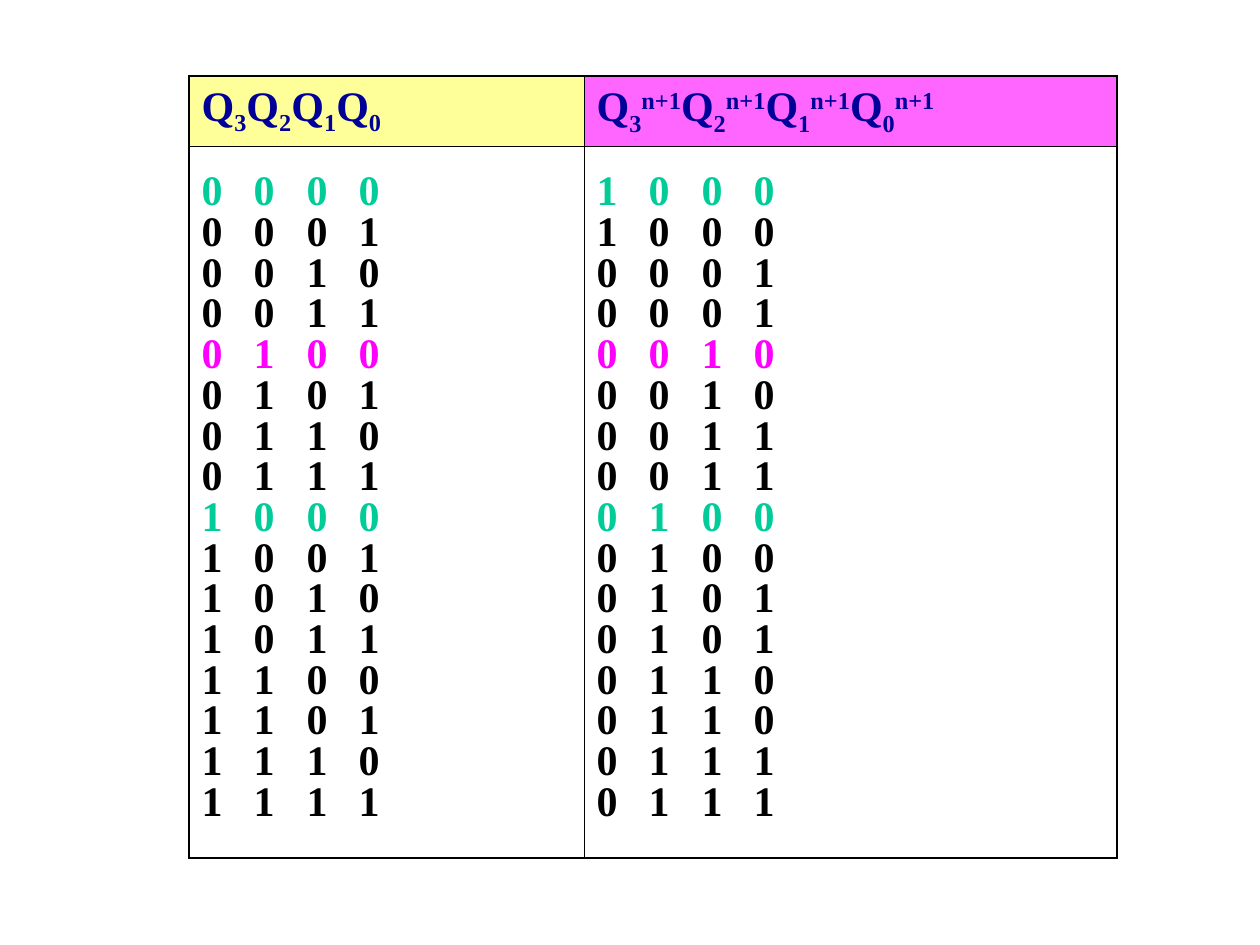
"""Builds a slide with the state transition table of a four-bit circuit."""
from lxml.etree import SubElement
from pptx import Presentation
from pptx.dml.color import RGBColor
from pptx.enum.text import MSO_ANCHOR
from pptx.oxml.ns import qn
from pptx.util import Emu, Pt

SCALE = 914400 // 126
COLUMNS = (395, 436, 97)
ROWS = (70, 712)
HEADER_FILLS = ("FFFF99", "FF66FF", "FF66FF")
HIGHLIGHTS = {0: "00CC99", 4: "FF00FF", 8: "00CC99"}
THIN, THICK = 0.45, 1.08


def px(n):
    return Emu(n * SCALE)


def color(value):
    return RGBColor.from_string(value)


def add_run(p, text, rgb="000000", baseline=0):
    r = p.add_run()
    r.text = text
    r.font.name = "Times New Roman"
    r.font.size = Pt(24)
    r.font.bold = True
    r.font.color.rgb = color(rgb)
    if baseline:
        r.font._element.set("baseline", str(baseline * 1000))


def add_border(cell, side, width):
    ln = SubElement(cell._tc.get_or_add_tcPr(), qn(f"a:ln{side}"), w=str(Pt(width)))
    if width:
        fill = SubElement(ln, qn("a:solidFill"))
        SubElement(fill, qn("a:srgbClr"), val="000000")
    else:
        SubElement(ln, qn("a:noFill"))


def format_cell(cell, row, col):
    add_border(cell, "L", (THICK, THIN, 0)[col])
    add_border(cell, "R", (THIN, 0, THICK)[col])
    add_border(cell, "T", (THICK, THIN)[row])
    add_border(cell, "B", (THIN, THICK)[row])
    cell.fill.solid()
    cell.fill.fore_color.rgb = color("FFFFFF" if row else HEADER_FILLS[col])
    cell.vertical_anchor = MSO_ANCHOR.MIDDLE


def add_header(cell, exponent=""):
    p = cell.text_frame.paragraphs[0]
    for bit in "3210":
        add_run(p, "Q", rgb="000099")
        add_run(p, bit, rgb="000099", baseline=-25)
        if exponent:
            add_run(p, exponent, rgb="000099", baseline=30)
    return p


def add_tabs(p):
    tabs = SubElement(p._p.get_or_add_pPr(), qn("a:tabLst"))
    for i in range(1, 4):
        SubElement(tabs, qn("a:tab"), pos=str(px(105 * i // 2)), algn="l")


def add_states(cell, states):
    tf = cell.text_frame
    for i, state in enumerate(states):
        p = tf.add_paragraph() if i else tf.paragraphs[0]
        add_tabs(p)
        p.line_spacing = 0.65
        if i:
            p.space_before = Pt(6)
        add_run(p, "\t".join(f"{state:04b}"), rgb=HIGHLIGHTS.get(i, "000000"))


def add_state_table(s):
    frame = s.shapes.add_table(
        len(ROWS), len(COLUMNS), px(189), px(76), px(sum(COLUMNS)), px(sum(ROWS)))
    table = frame.table
    table.first_row = table.horz_banding = False
    for col, width in enumerate(COLUMNS):
        table.columns[col].width = px(width)
    for row, height in enumerate(ROWS):
        table.rows[row].height = px(height)
        for col in range(len(COLUMNS)):
            format_cell(table.cell(row, col), row, col)
    return table


def main():
    prs = Presentation()
    prs.slide_width, prs.slide_height = px(1260), px(945)
    s = prs.slides.add_slide(prs.slide_layouts[6])
    table = add_state_table(s)
    add_header(table.cell(0, 0)).line_spacing = 0.65
    add_header(table.cell(0, 1), exponent="n+1")
    add_states(table.cell(1, 0), range(16))
    add_states(table.cell(1, 1), [n >> 1 or 8 for n in range(16)])
    prs.save("out.pptx")


if __name__ == "__main__":
    main()
